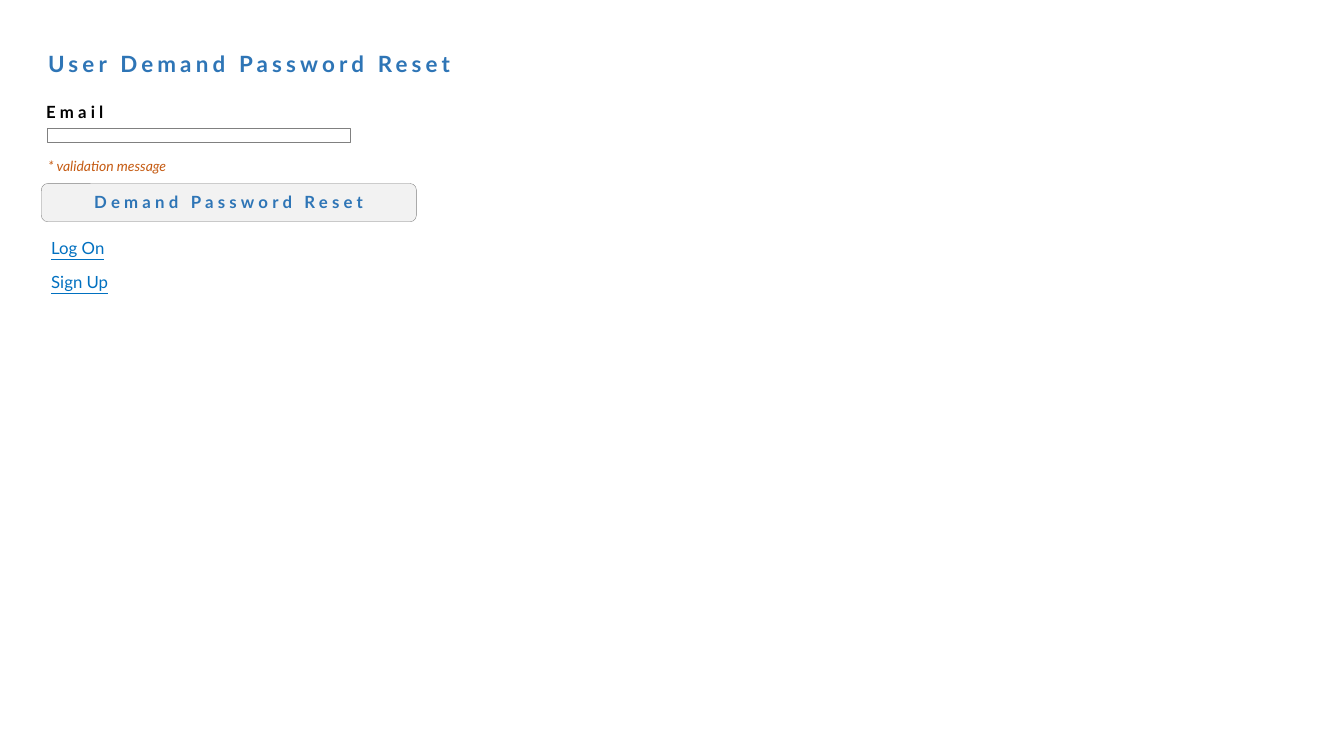
from pptx import Presentation
from pptx.dml.color import RGBColor
from pptx.enum.shapes import MSO_SHAPE
from pptx.enum.text import MSO_ANCHOR, MSO_AUTO_SIZE, PP_ALIGN
from pptx.util import Inches, Pt

RECTANGLE = MSO_SHAPE.RECTANGLE
ROUNDED_RECTANGLE = MSO_SHAPE.ROUNDED_RECTANGLE
MIDDLE = MSO_ANCHOR.MIDDLE
FIT_SHAPE = MSO_AUTO_SIZE.SHAPE_TO_FIT_TEXT
CENTER = PP_ALIGN.CENTER

WHITE = RGBColor(0xFF, 0xFF, 0xFF)
BLACK = RGBColor(0x00, 0x00, 0x00)
GRAY = RGBColor(0x80, 0x80, 0x80)
LIGHT_GRAY = RGBColor(0xF2, 0xF2, 0xF2)
BLUE = RGBColor(0x2E, 0x75, 0xB6)
LINK_BLUE = RGBColor(0x00, 0x70, 0xC0)
ORANGE = RGBColor(0xC5, 0x5A, 0x11)

FONT = "Lato"
WIDE_SPACING = "300"  # hundredths of a point


def set_text(shape, text, size, color, top_inset, bottom_inset,
             bold=False, italic=False, underline=False):
    """Write one middle-anchored run; bold text is letter-spaced."""
    frame = shape.text_frame
    frame.vertical_anchor = MIDDLE
    frame.margin_left = frame.margin_right = Inches(0.1)
    frame.margin_top = Inches(top_inset)
    frame.margin_bottom = Inches(bottom_inset)
    frame.word_wrap = True
    run = frame.paragraphs[0].add_run()
    run.text = text
    font = run.font
    font.name = FONT
    font.size = Pt(size)
    font.color.rgb = color
    font.bold = bold
    font.italic = italic
    font.underline = underline
    if bold:
        run._r.get_or_add_rPr().set("spc", WIDE_SPACING)
    return frame


def add_label(slide, left, top, width, height, text, size, color,
              bottom_inset=0.03, **style):
    label = slide.shapes.add_textbox(
        Inches(left), Inches(top), Inches(width), Inches(height))
    frame = set_text(label, text, size, color, 0.02, bottom_inset, **style)
    frame.auto_size = FIT_SHAPE
    return frame


def add_control(slide, kind, left, top, width, height, fill):
    """Add a thinly outlined form control."""
    control = slide.shapes.add_shape(
        kind, Inches(left), Inches(top), Inches(width), Inches(height))
    control.shadow.inherit = False
    control.fill.solid()
    control.fill.fore_color.rgb = fill
    control.line.color.rgb = GRAY
    control.line.width = Pt(0.25)
    return control


def add_email_field(slide, left, top, width):
    add_label(slide, left, top, width, 0.25, "Email", 12, BLACK, bold=True)
    add_control(slide, RECTANGLE, left + 0.11, top + 0.28, width, 0.14, WHITE)
    add_label(slide, left + 0.02, top + 0.55, width, 0.22,
              "* validation message", 10, ORANGE, italic=True)


def add_button(slide, left, top, width, height, text):
    button = add_control(slide, ROUNDED_RECTANGLE,
                         left, top, width, height, LIGHT_GRAY)
    frame = set_text(button, text, 12, BLUE, 0, 0.01, bold=True)
    frame.paragraphs[0].alignment = CENTER


def add_links(slide, left, top, links):
    for index, (text, width) in enumerate(links):
        frame = add_label(slide, left, top + index * 0.34, width, 0.27, text,
                          12, LINK_BLUE, bottom_inset=0.05, underline=True)
        frame.word_wrap = False


def main():
    presentation = Presentation()
    presentation.slide_width = Inches(13.33)
    presentation.slide_height = Inches(7.5)
    slide = presentation.slides.add_slide(presentation.slide_layouts[6])

    add_label(slide, 0.38, 0.48, 5.21, 0.32, "User Demand Password Reset",
              16, BLUE, bold=True)
    add_email_field(slide, 0.36, 0.99, 3)
    add_button(slide, 0.41, 1.82, 3.72, 0.38, "Demand Password Reset")
    add_links(slide, 0.41, 2.34, [("Log On", 0.75), ("Sign Up", 0.79)])

    presentation.save("out.pptx")


if __name__ == "__main__":
    main()
